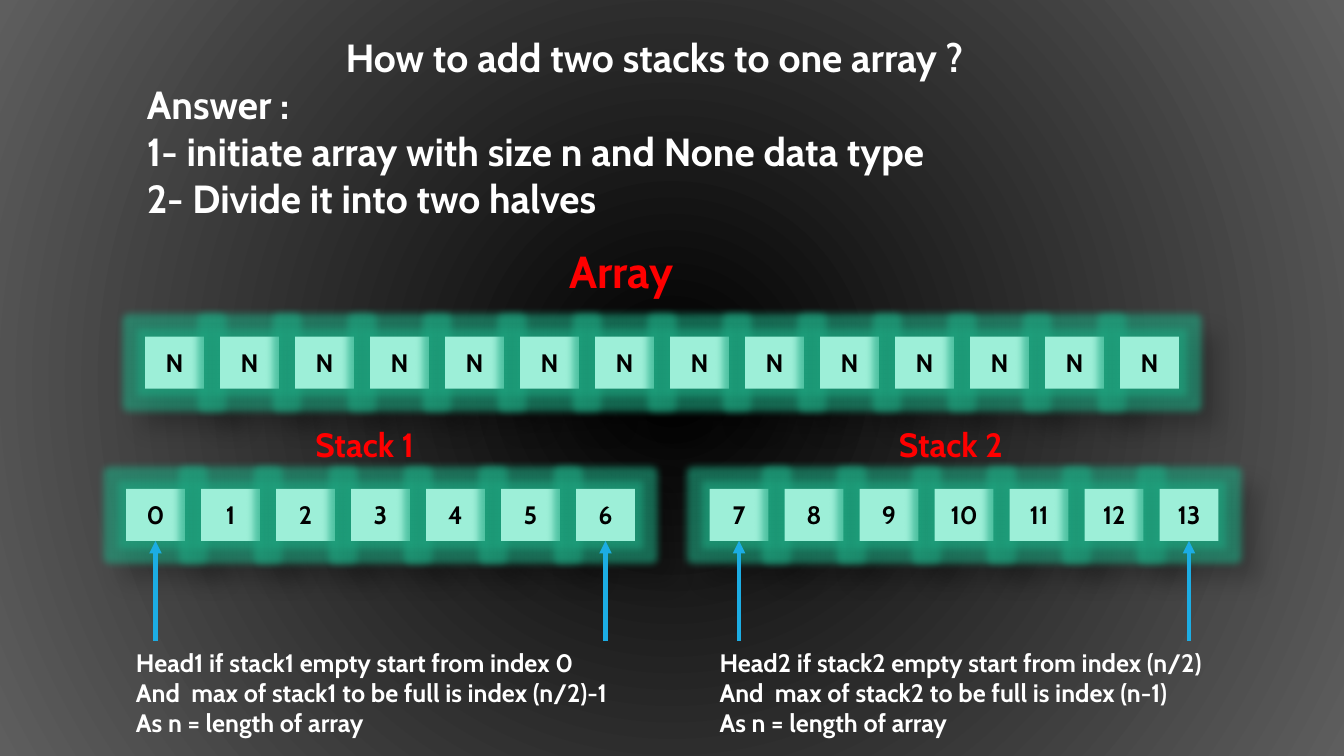
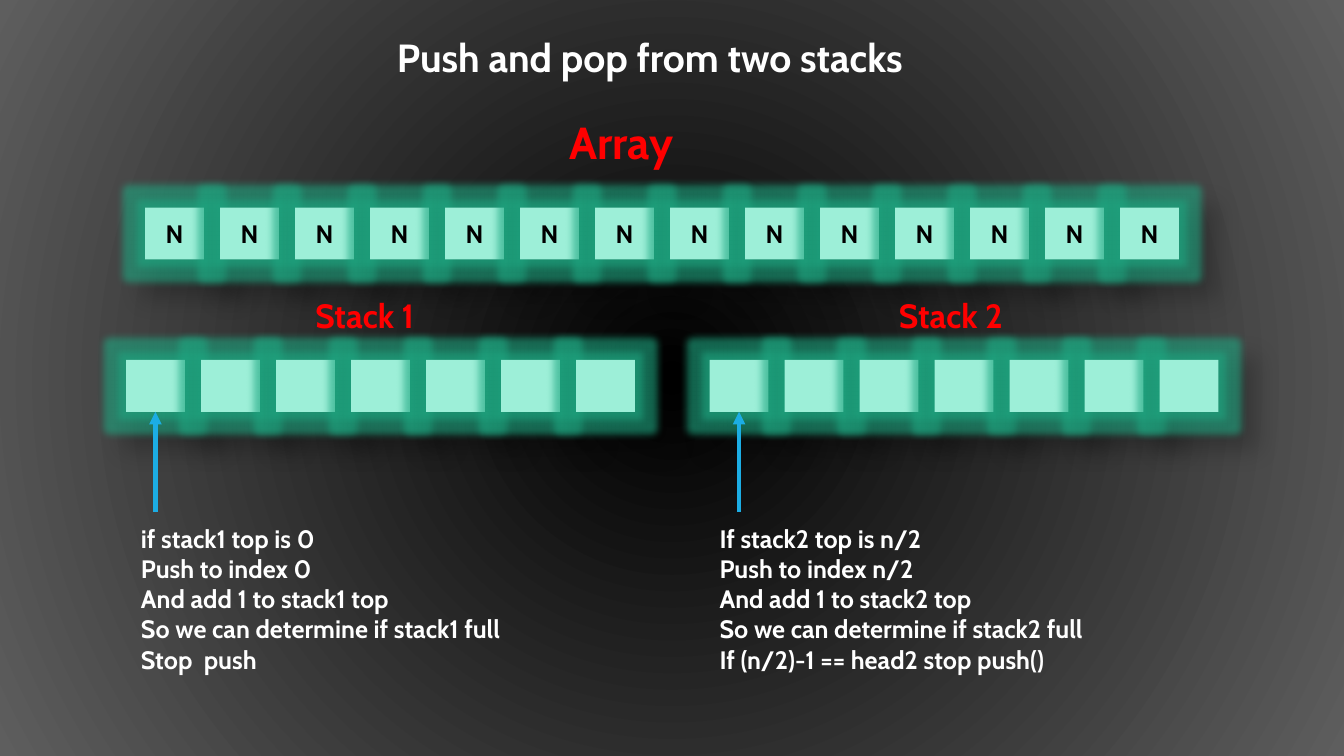
"""Two slides on keeping two stacks in one array."""
from lxml.etree import SubElement
from pptx import Presentation
from pptx.dml.color import RGBColor
from pptx.enum.shapes import MSO_CONNECTOR, MSO_SHAPE
from pptx.enum.text import MSO_ANCHOR, MSO_AUTO_SIZE, PP_ALIGN
from pptx.oxml import parse_xml
from pptx.oxml.ns import nsdecls, qn
from pptx.util import Inches, Pt

BLACK = RGBColor(0x00, 0x00, 0x00)
GREY = RGBColor(0x5E, 0x5E, 0x5E)
WHITE = RGBColor(0xFF, 0xFF, 0xFF)
RED = RGBColor(0xFF, 0x00, 0x00)
MINT = RGBColor(0x9D, 0xEF, 0xD8)
TEAL = RGBColor(0x1F, 0xA8, 0x82)
BLUE = RGBColor(0x1C, 0xAD, 0xE4)
FONT = "Cabin"

PITCH, CELL_W, CELL_H = 5.58, 4.38, 6.87
ARRAY_X, STACK_XS = 10.8, (9.38, 52.8)
HALF = 7

GRADIENT = f"""<a:gradFill {nsdecls('a')} rotWithShape="1"><a:gsLst>
<a:gs pos="0"><a:srgbClr val="{BLACK}"/></a:gs>
<a:gs pos="100000"><a:srgbClr val="{GREY}"/></a:gs></a:gsLst>
<a:path path="circle"><a:fillToRect l="50000" t="50000" r="50000" b="50000"/></a:path>
</a:gradFill>"""
GLOW = f"""<a:effectLst {nsdecls('a')}>
<a:glow rad="139700"><a:srgbClr val="{TEAL}"><a:alpha val="60000"/></a:srgbClr></a:glow>
<a:outerShdw blurRad="190500" dist="228600" dir="2700000" algn="tl" rotWithShape="0">
<a:srgbClr val="{BLACK}"><a:alpha val="30000"/></a:srgbClr></a:outerShdw>
</a:effectLst>"""


class Deck:
    """Holds the style and the current slide; lengths are percent of the slide."""

    def __init__(self):
        self.prs = Presentation()
        self.prs.slide_width, self.prs.slide_height = Inches(13.33), Inches(7.5)
        self.s = None

    def x(self, share):
        """Turn a percentage of the width into a length."""
        return round(self.prs.slide_width * share / 100)

    def y(self, share):
        """Turn a percentage of the height into a length."""
        return round(self.prs.slide_height * share / 100)

    def box(self, left, top, width, height):
        """Return the four lengths of a box."""
        return self.x(left), self.y(top), self.x(width), self.y(height)

    def rect(self, left, top, width, height):
        """Add a plain rectangle without line or shadow."""
        sp = self.s.shapes.add_shape(MSO_SHAPE.RECTANGLE, *self.box(left, top, width, height))
        sp.shadow.inherit = False
        sp.line.fill.background()
        return sp

    def slide(self):
        """Start a slide with the radial backdrop."""
        self.s = self.prs.slides.add_slide(self.prs.slide_layouts[6])
        sp = self.rect(0, 0, 100, 100)
        sp.fill.background()
        pr = sp._element.spPr
        pr.replace(pr.find(qn("a:noFill")), parse_xml(GRADIENT))

    def style(self, p, size, color):
        """Format the runs of one paragraph."""
        for r in p.runs:
            r.font.name, r.font.size, r.font.bold = FONT, Pt(size), True
            r.font.color.rgb = color

    def text(self, left, top, width, height, lines, size, color=WHITE):
        """Add a text box with one paragraph per line."""
        tf = self.s.shapes.add_textbox(*self.box(left, top, width, height)).text_frame
        tf.word_wrap = True
        tf.auto_size = MSO_AUTO_SIZE.SHAPE_TO_FIT_TEXT
        tf.text = "\n".join(lines)
        for p in tf.paragraphs:
            self.style(p, size, color)
        return tf

    def title(self, *lines):
        """Add a centred title, followed by any left-aligned lines."""
        tf = self.text(10.2, 3.73, 76.95, 1.33 + 6.3 * len(lines), lines, 28)
        tf.paragraphs[0].alignment = PP_ALIGN.CENTER

    def cell(self, left, top, label):
        """Add one glowing array cell."""
        sp = self.rect(left, top, CELL_W, CELL_H)
        sp.fill.solid()
        sp.fill.fore_color.rgb = MINT
        pr = sp._element.spPr
        pr.replace(pr.find(qn("a:effectLst")), parse_xml(GLOW))
        if label:
            tf = sp.text_frame
            tf.vertical_anchor = MSO_ANCHOR.MIDDLE
            tf.text = label
            tf.paragraphs[0].alignment = PP_ALIGN.CENTER
            self.style(tf.paragraphs[0], 18, BLACK)
        return sp

    def row(self, left, top, labels):
        """Add a row of equally spaced cells."""
        return [self.cell(left + i * PITCH, top, label) for i, label in enumerate(labels)]

    def arrow(self, cell):
        """Add an arrow pointing up to the bottom of a cell."""
        mid, end = cell.left + cell.width // 2, cell.top + cell.height
        c = self.s.shapes.add_connector(MSO_CONNECTOR.STRAIGHT, mid, end + self.y(13.2), mid, end)
        c.end_connect(cell, 2)
        c.line.color.rgb, c.line.width = BLUE, Pt(3)
        SubElement(c.line._get_or_add_ln(), qn("a:tailEnd"), type="triangle")
        SubElement(c._element.spPr, qn("a:effectLst"))

    def diagram(self, top, labels, pointed):
        """Add the array and both stacks, with arrows to the pointed cells."""
        self.row(ARRAY_X, top + 12.93, ["N"] * (2 * HALF))
        self.text(41.63, top, 9.68, 8.53, ["Array"], 32, RED)
        stacks = []
        for i, left in enumerate(STACK_XS):
            stacks += self.row(left, top + 33.07, labels[i * HALF:(i + 1) * HALF])
            self.text(left + 13.35, top + 23.8, 22.36, 6.73, [f"Stack {i + 1}"], 24, RED)
        for i in pointed:
            self.arrow(stacks[i])

    def note(self, left, top, *lines):
        """Add an explanation below a stack."""
        self.text(left, top, 37.88, 1.33 + 4.05 * len(lines), lines, 18)


def main():
    """Build and save both slides."""
    deck = Deck()
    first, second = STACK_XS

    deck.slide()
    deck.title("How to add two stacks to one array ?", "Answer :",
               "1- initiate array with size n and None data type",
               "2- Divide it into two halves")
    deck.diagram(31.6, [str(i) for i in range(2 * HALF)], (0, 6, 7, 13))
    for n, left, start, last in ((1, first, "0", "(n/2)-1"), (2, second, "(n/2)", "(n-1)")):
        deck.note(left, 84.93, f"Head{n} if stack{n} empty start from index {start}",
                  f"And  max of stack{n} to be full is index {last}",
                  "As n = length of array")

    deck.slide()
    deck.title("Push and pop from two stacks ")
    deck.diagram(14.53, [""] * (2 * HALF), (0, 7))
    for n, left, word, start, stop in (
            (1, first + 0.37, "if", "0", "Stop  push"),
            (2, second, "If", "n/2", "If (n/2)-1 == head2 stop push()")):
        deck.note(left, 68.53, f"{word} stack{n} top is {start}", f"Push to index {start}",
                  f"And add 1 to stack{n} top", f"So we can determine if stack{n} full", stop)

    deck.prs.save("out.pptx")


if __name__ == "__main__":
    main()
